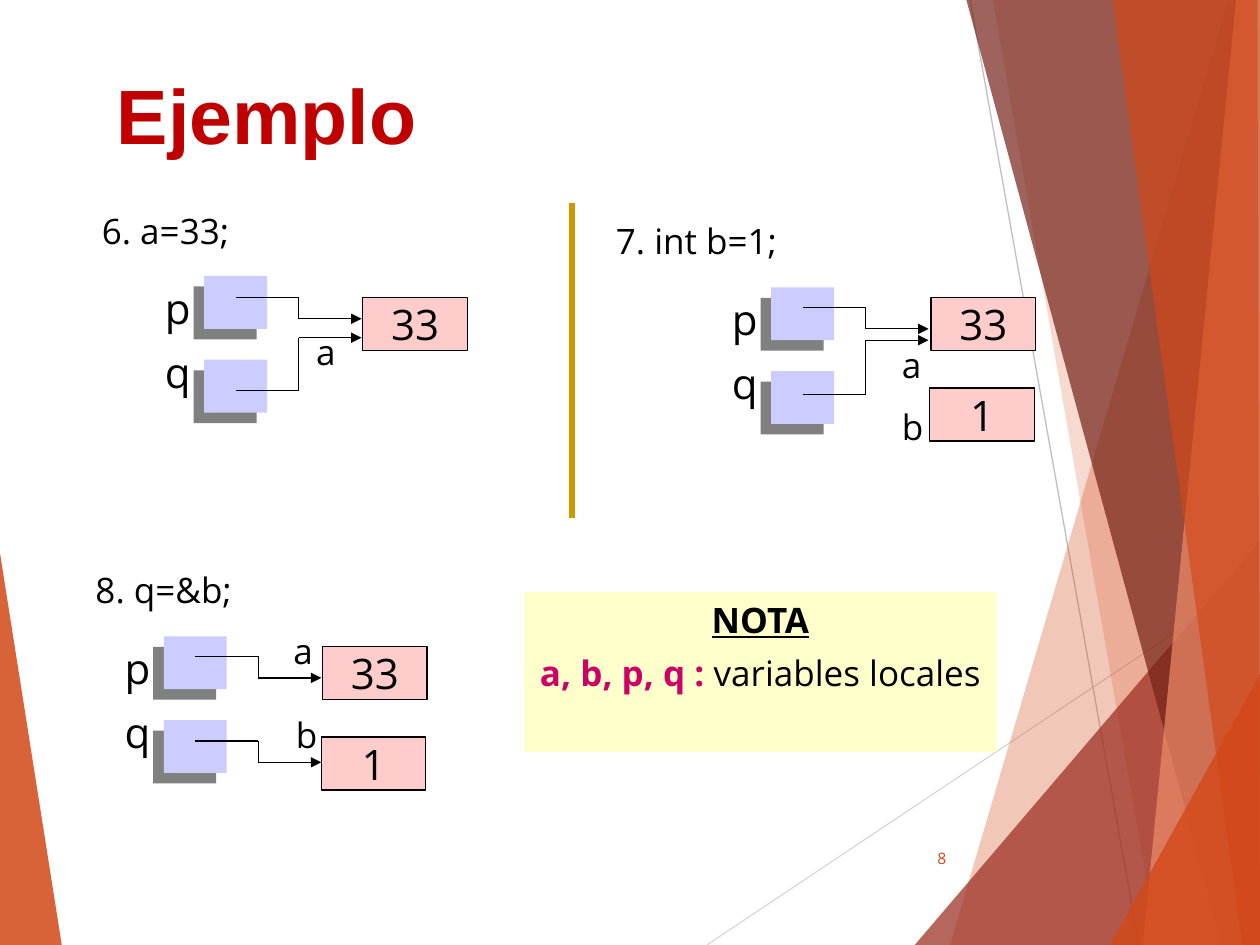
from itertools import pairwise

from lxml.etree import SubElement
from pptx import Presentation
from pptx.dml.color import RGBColor
from pptx.enum.shapes import MSO_CONNECTOR as CONNECTOR, MSO_SHAPE as SHAPE
from pptx.enum.text import MSO_ANCHOR as ANCHOR, PP_ALIGN as ALIGN
from pptx.oxml.ns import qn
from pptx.util import Inches, Pt

BLACK = RGBColor(0x00, 0x00, 0x00)
ORANGE = RGBColor(0xD3, 0x48, 0x17)
RUST = RGBColor(0x9B, 0x2D, 0x1F)
MAROON = RGBColor(0x74, 0x22, 0x17)
SALMON = RGBColor(0xEF, 0x8C, 0x6A)
PALE_GRAY = RGBColor(0xD9, 0xD9, 0xD9)
LIGHT_GRAY = RGBColor(0xBF, 0xBF, 0xBF)
GOLD = RGBColor(0xCC, 0x99, 0x00)
LILAC = RGBColor(0xCC, 0xCC, 0xFF)
PINK = RGBColor(0xFF, 0xCC, 0xCC)
CREAM = RGBColor(0xFF, 0xFF, 0xCC)
MAGENTA = RGBColor(0xCC, 0x00, 0x66)
RED = RGBColor(0xC0, 0x00, 0x00)
BODY_FONT = "Open Sans"

# Background facets: colour, opacity in percent, corners
LEFT_FACET = (ORANGE, 85, [(0, 4.39), (0.49, 7.5), (0, 7.5)])
RIGHT_FACETS = [
    (ORANGE, 30, [(9.75, 0), (7.54, 7.5), (10, 7.5), (10, 0)]),
    (ORANGE, 20, [(7.88, 0), (9.19, 7.5), (10, 7.5), (10, 0)]),
    (RUST, 72, [(7.26, 7.5), (10, 4.29), (10, 7.5)]),
    (MAROON, 70, [(7.67, 0), (9.7, 7.5), (10, 7.5), (10, 0)]),
    (SALMON, 70, [(9.81, 0), (9.07, 7.5), (10, 7.5), (10, 0)]),
    (ORANGE, 65, [(8.83, 0), (9.86, 7.5), (10, 7.5), (9.98, 0)]),
    (ORANGE, 80, [(8.81, 7.5), (10, 5.35), (10, 7.5)]),
]


def add_facet(page, color, opacity, corners):
    points = [(Inches(x), Inches(y)) for x, y in corners]
    builder = page.shapes.build_freeform(*points[0])
    builder.add_line_segments(points[1:], close=True)
    facet = builder.convert_to_shape()
    facet.shadow.inherit = False
    facet.line.fill.background()
    facet.fill.solid()
    facet.fill.fore_color.rgb = color
    color_node = facet._element.spPr.find(qn("a:solidFill"))[0]
    SubElement(color_node, qn("a:alpha"), val=str(opacity * 1000))


def add_line(page, start, end, color=BLACK, width=0.75, arrow=False):
    ends = [Inches(value) for value in (*start, *end)]
    line = page.shapes.add_connector(CONNECTOR.STRAIGHT, *ends)
    line.line.color.rgb = color
    line.line.width = Pt(width)
    if arrow:
        SubElement(line.line._get_or_add_ln(), qn("a:tailEnd"), type="triangle")
    SubElement(line._element.spPr, qn("a:effectLst"))


def add_step_arrow(page, left, start_y, end_y):
    bend = left + 0.5
    points = [(left, start_y), (bend, start_y), (bend, end_y), (left + 1, end_y)]
    for index, (start, end) in enumerate(pairwise(points)):
        add_line(page, start, end, arrow=index == 2)


def add_span(para, text, size, color=BLACK, font=BODY_FONT, bold=False,
             underline=False):
    span = para.add_run()
    span.text = text
    span.font.size = Pt(size)
    span.font.name = font
    span.font.color.rgb = color
    span.font.bold = bold
    span.font.underline = underline


def add_text(page, left, top, width, height, lines, size=20, align=ALIGN.LEFT,
             anchor=ANCHOR.TOP, gap=0, **style):
    box = page.shapes.add_textbox(*map(Inches, (left, top, width, height)))
    frame = box.text_frame
    frame.word_wrap = True
    frame.vertical_anchor = anchor
    for index, text in enumerate(lines):
        para = frame.add_paragraph() if index else frame.paragraphs[0]
        para.alignment = align
        if index:
            para.space_before = Pt(gap)
        add_span(para, text, size, **style)
    return box


def add_box(page, left, top, width, height, fill):
    box = page.shapes.add_shape(
        SHAPE.RECTANGLE, *map(Inches, (left, top, width, height)))
    box.shadow.inherit = False
    box.fill.solid()
    box.fill.fore_color.rgb = fill
    box.line.fill.background()
    return box


def add_pointers(page, left, top):
    """Two shadowed cells with the labels p and q."""
    for row in range(2):
        cell = add_box(page, left, top + row * 0.665, 0.5, 0.42, LILAC)
        effects = cell._element.spPr.find(qn("a:effectLst"))
        shadow = SubElement(effects, qn("a:outerShdw"), dist=str(Pt(8.5)),
                            dir="8100000", algn="ctr", rotWithShape="0")
        SubElement(shadow, qn("a:srgbClr"), val="808080")
    add_text(page, left - 0.41, top, 0.5, 1.1, ["p", "q"], size=24, gap=8)


def add_value(page, left, top, text):
    box = add_box(page, left, top, 0.83, 0.42, PINK)
    box.line.color.rgb = BLACK
    box.line.width = Pt(0.75)
    frame = box.text_frame
    frame.word_wrap = False
    frame.vertical_anchor = ANCHOR.MIDDLE
    para = frame.paragraphs[0]
    para.alignment = ALIGN.CENTER
    add_span(para, text, 24)


def add_step(page, caption, caption_at, pointers_at, values, names, arrows):
    """One program step: caption, pointers, variables and arrows."""
    add_text(page, *caption_at, 3, 0.43, [caption])
    add_pointers(page, *pointers_at)
    for value in values:
        add_value(page, *value)
    for left, top, name in names:
        add_text(page, left, top, 0.42, 0.43, [name])
    for start_y, end_y in arrows:
        add_step_arrow(page, pointers_at[0] + 0.25, start_y, end_y)


def add_note(page):
    box = add_box(page, 4.16, 4.7, 3.75, 1.27, CREAM)
    frame = box.text_frame
    frame.word_wrap = True
    frame.vertical_anchor = ANCHOR.TOP
    heading = frame.paragraphs[0]
    add_span(heading, "NOTA", 20, bold=True, underline=True)
    body = frame.add_paragraph()
    body.space_before = Pt(6.5)
    add_span(body, "a, b, p, q :", 20, MAGENTA, bold=True)
    add_span(body, " variables locales", 20)
    for para in (heading, body):
        para.alignment = ALIGN.CENTER


def main():
    deck = Presentation()
    deck.slide_width, deck.slide_height = Inches(10), Inches(7.5)
    page = deck.slides.add_slide(deck.slide_layouts[6])

    # Background
    add_facet(page, *LEFT_FACET)
    add_line(page, (5.61, 7.5), (10, 4.57), PALE_GRAY)
    add_line(page, (7.7, 0), (9.04, 7.5), LIGHT_GRAY)
    for facet in RIGHT_FACETS:
        add_facet(page, *facet)

    # Title, divider and page number
    title = add_text(page, 0.83, 0.7, 3.08, 0.63, ["Ejemplo"], size=44,
                     anchor=ANCHOR.BOTTOM, color=RED, font="Arial", bold=True)
    title.text_frame.paragraphs[0].line_spacing = 0.9
    add_line(page, (4.54, 1.61), (4.54, 4.11), GOLD, 3)
    add_text(page, 7.05, 6.61, 0.56, 0.4, ["8"], size=9, align=ALIGN.RIGHT,
             anchor=ANCHOR.MIDDLE, color=ORANGE)

    # Program steps
    add_step(page, "6. a=33;", (0.71, 1.61), (1.62, 2.19),
             values=[(2.88, 2.36, "33")],
             names=[(2.41, 2.57, "a")],
             arrows=[(2.36, 2.53), (3.1, 2.68)])
    add_step(page, "7. int b=1;", (4.79, 1.69), (6.12, 2.28),
             values=[(7.39, 2.36, "33"), (7.38, 3.08, "1")],
             names=[(7.06, 2.68, "a"), (7.06, 3.17, "b")],
             arrows=[(2.44, 2.61), (3.13, 2.7)])
    add_step(page, "8. q=&b;", (0.66, 4.46), (1.3, 5.05),
             values=[(2.56, 5.13, "33"), (2.55, 5.85, "1")],
             names=[(2.23, 4.95, "a"), (2.25, 5.61, "b")],
             arrows=[(5.21, 5.38), (5.88, 6.05)])

    # Note
    add_note(page)
    deck.save("out.pptx")


main()
